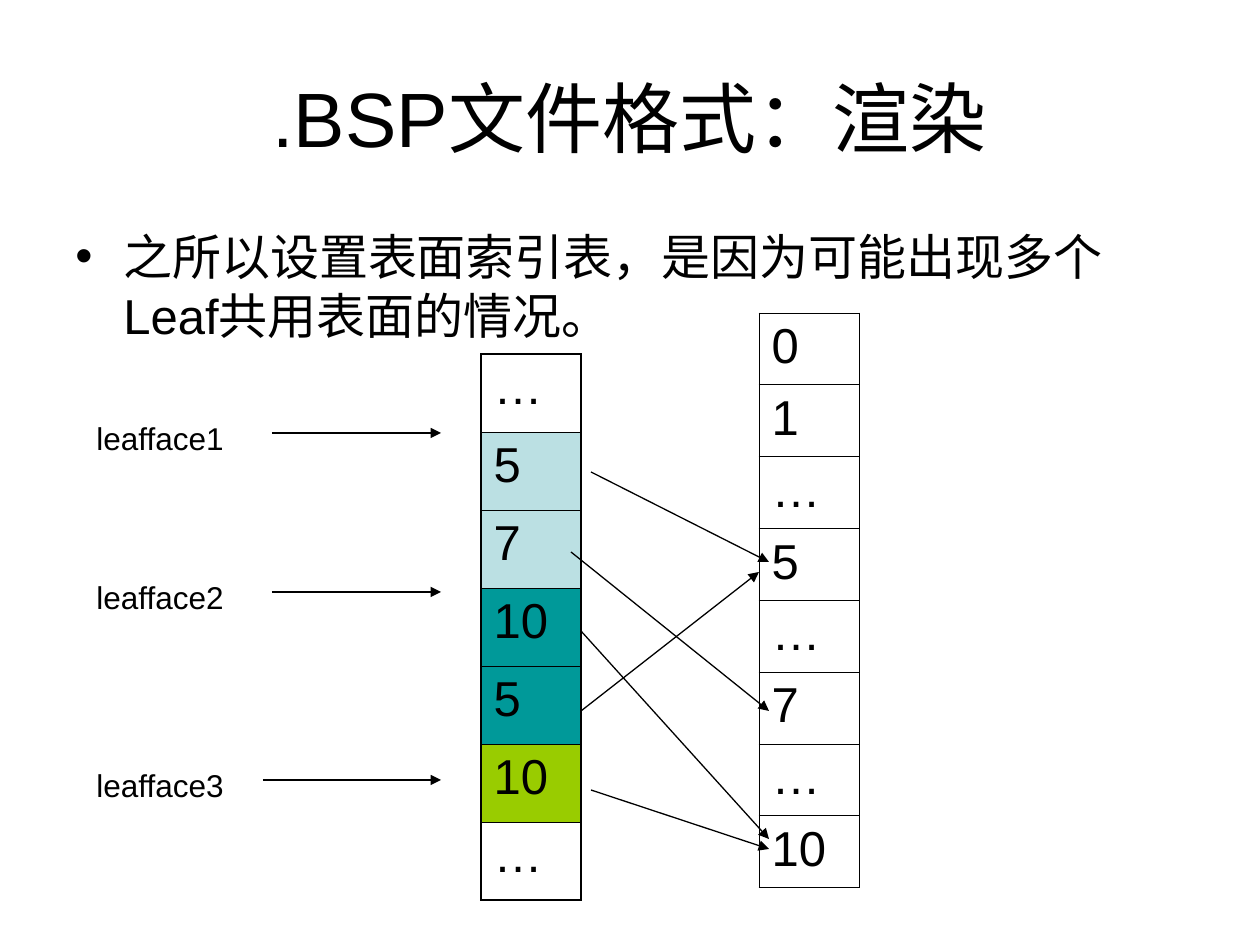
from collections import namedtuple

from lxml.etree import SubElement
from pptx import Presentation
from pptx.dml.color import RGBColor
from pptx.enum.shapes import MSO_CONNECTOR as Connector
from pptx.enum.text import MSO_ANCHOR as Anchor, PP_ALIGN as Align
from pptx.oxml import parse_xml
from pptx.oxml.ns import nsdecls, qn
from pptx.util import Emu, Pt

PX = 914400 / 126
FONT = "Arial"
COLORS = {
    "ink": "000000",
    "leaf1": "BBE0E3",
    "leaf2": "009999",
    "leaf3": "99CC00",
}
Box = namedtuple("Box", "left top width height")


def px(length):
    return Emu(round(length * PX))


def color(name):
    return RGBColor.from_string(COLORS[name])


def format_paragraph(paragraph, size, space_before=0, align=Align.LEFT):
    paragraph.alignment = align
    paragraph.space_before = Pt(space_before)
    for run in paragraph.runs:
        run.font.name = FONT
        run.font.size = Pt(size)
        run.font.color.rgb = color("ink")


def add_text(slide, box, text, size, space_before=0, align=Align.LEFT, anchor=Anchor.TOP):
    shape = slide.shapes.add_textbox(*map(px, box))
    text_frame = shape.text_frame
    text_frame.word_wrap = True
    text_frame.vertical_anchor = anchor
    text_frame.text = text
    paragraph = text_frame.paragraphs[0]
    format_paragraph(paragraph, size, space_before, align)
    return paragraph


def add_arrow(slide, start, end):
    connector = slide.shapes.add_connector(Connector.STRAIGHT, *map(px, start + end))
    connector.line.color.rgb = color("ink")
    connector.line.width = Pt(0.75)
    SubElement(connector.line._get_or_add_ln(), qn("a:tailEnd"), type="triangle")
    SubElement(connector._element.spPr, qn("a:effectLst"))


def add_title(slide, box):
    add_text(slide, box, ".BSP文件格式：渲染", 44, align=Align.CENTER, anchor=Anchor.MIDDLE)


def add_body(slide, box):
    text = "之所以设置表面索引表，是因为可能出现多个Leaf共用表面的情况。"
    paragraph = add_text(slide, box, text, 28, 7)
    properties = paragraph._p.get_or_add_pPr()
    properties.set("marL", str(px(48)))
    properties.set("indent", str(-px(48)))
    bullet_color = SubElement(properties, qn("a:buClr"))
    SubElement(bullet_color, qn("a:srgbClr"), val=COLORS["ink"])
    SubElement(properties, qn("a:buFont"), typeface=FONT)
    SubElement(properties, qn("a:buChar"), char="•")


def set_borders(cell, widths):
    properties = cell._tc.get_or_add_tcPr()
    for position, (side, width) in enumerate(zip("LRTB", widths)):
        border = parse_xml(
            f'<a:ln{side} {nsdecls("a")} w="{Pt(width)}"><a:solidFill>'
            f'<a:srgbClr val="{COLORS["ink"]}"/></a:solidFill></a:ln{side}>'
        )
        properties.insert(position, border)


def add_column(slide, box, entries, outer_width, inner_width=0.45):
    count = len(entries)
    table = slide.shapes.add_table(count, 1, *map(px, box)).table
    table.first_row = False
    table.horz_banding = False
    for index, (text, fill) in enumerate(entries):
        table.rows[index].height = px(box.height / count)
        cell = table.cell(index, 0)
        cell.text_frame.text = text
        format_paragraph(cell.text_frame.paragraphs[0], 28, 7)
        if fill:
            cell.fill.solid()
            cell.fill.fore_color.rgb = color(fill)
        else:
            cell.fill.background()
        top = outer_width if index == 0 else inner_width
        bottom = outer_width if index == count - 1 else inner_width
        set_borders(cell, (outer_width, outer_width, top, bottom))


def add_leaf_label(slide, box, text, arrow_start):
    add_text(slide, box, text, 18, 11.2)
    arrow_y = box.top + 20
    add_arrow(slide, (box.left + arrow_start, arrow_y), (box.left + 357, arrow_y))


def add_links(slide, box):
    links = [
        ((20, 0), (198, 90)),
        ((10, 239), (188, 100)),
        ((10, 159), (198, 367)),
        ((20, 318), (198, 377)),
        ((0, 80), (198, 239)),
    ]
    for link in links:
        start, end = [(box.left + x, box.top + y) for x, y in link]
        add_arrow(slide, start, end)


def main():
    presentation = Presentation()
    presentation.slide_width = px(1260)
    presentation.slide_height = px(945)
    slide = presentation.slides.add_slide(presentation.slide_layouts[6])

    add_title(slide, Box(63, 38, 1134, 158))
    add_body(slide, Box(63, 220, 1113, 134))
    index_entries = [
        ("…", None),
        ("5", "leaf1"),
        ("7", "leaf1"),
        ("10", "leaf2"),
        ("5", "leaf2"),
        ("10", "leaf3"),
        ("…", None),
    ]
    face_entries = [(text, None) for text in ("0", "1", "…", "5", "…", "7", "…", "10")]
    add_column(slide, Box(481, 354, 100, 546), index_entries, 1.08)
    add_column(slide, Box(759, 313, 100, 575), face_entries, 0.45)
    for number, top, arrow_start in ((1, 413, 188), (2, 572, 188), (3, 760, 179)):
        add_leaf_label(slide, Box(84, top, 198, 50), f"leafface{number}", arrow_start)
    add_links(slide, Box(571, 472, 198, 377))

    presentation.save("out.pptx")


if __name__ == "__main__":
    main()
